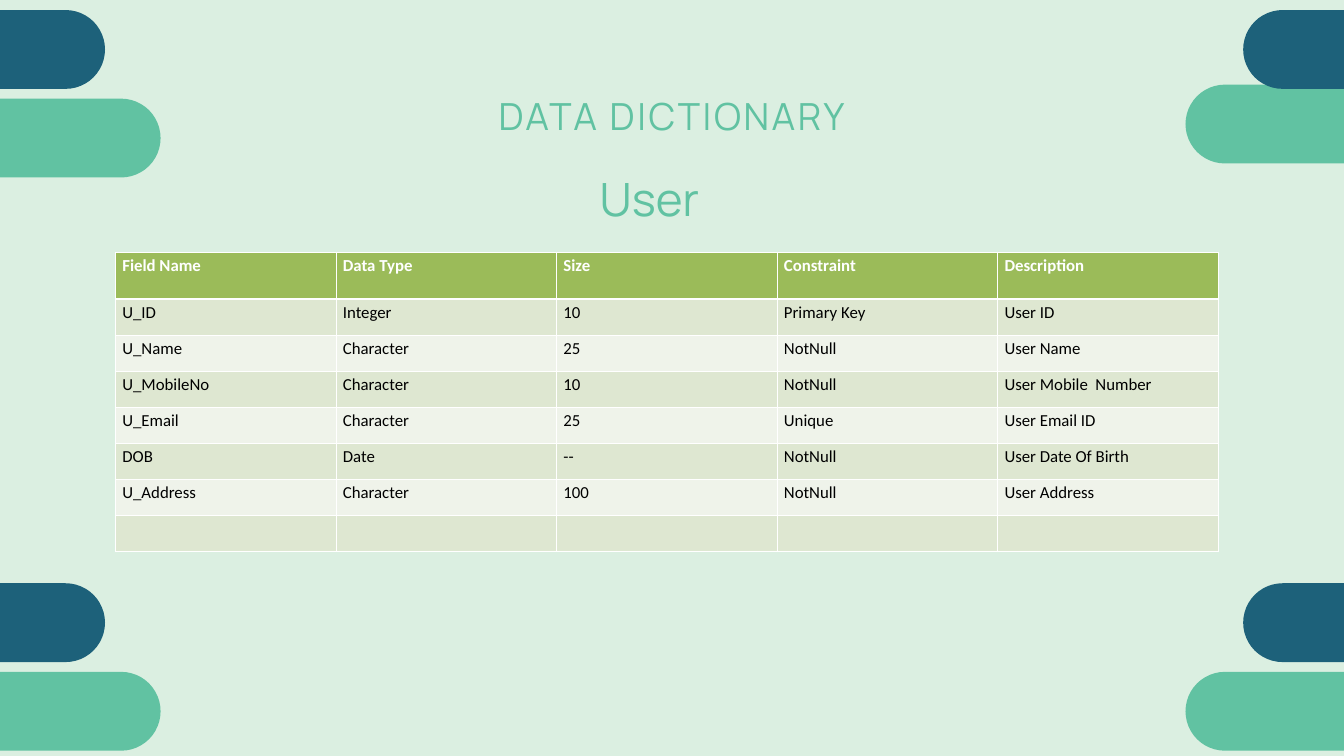
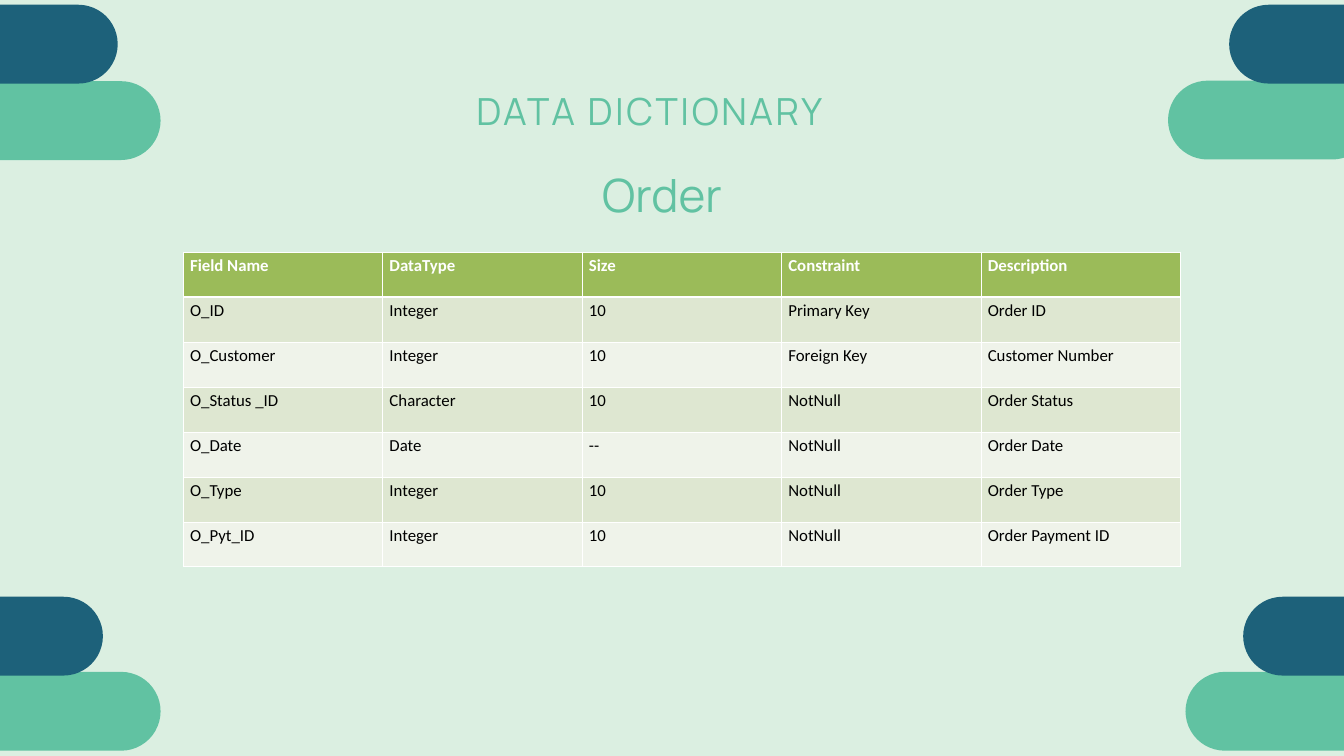
import pptx
import pptx.dml.color
import pptx.enum.shapes
import pptx.enum.text
import pptx.oxml
import pptx.oxml.ns
import pptx.util

Cm = pptx.util.Cm
Pt = pptx.util.Pt
RGBColor = pptx.dml.color.RGBColor

# Shared look
MINT = RGBColor(0xDB, 0xEF, 0xE1)
GREEN = RGBColor(0x61, 0xC2, 0xA2)
NAVY = RGBColor(0x1D, 0x61, 0x7A)
OLIVE = RGBColor(0x9B, 0xBB, 0x59)
DARK_BAND = RGBColor(0xDE, 0xE7, 0xD1)
LIGHT_BAND = RGBColor(0xEF, 0xF3, 0xEA)
WHITE = RGBColor(0xFF, 0xFF, 0xFF)
BLACK = RGBColor(0x00, 0x00, 0x00)
HEADING_FONT = "Manrope"
TABLE_FONT = "Calibri"
TITLE = "DATA DICTIONARY"
TITLE_SIZE = (15.88, 1.7)
PILL_SIZE = (7.7, 2.98)
TABLE_TOP = 9.53

# Content: boxes are left, top, width, height and pills left, top, all in cm
SLIDES = [
    {
        "title_at": (17.45, 3.53),
        "entity": "User",
        "entity_box": (20.37, 6.1, 8.36, 2.46),
        "green_pills": [(-1.63, 3.73), (-1.63, 25.4), (44.81, 3.2), (44.81, 25.4)],
        "navy_pills": [(-3.73, 0.38), (-3.73, 22.05), (46.99, 0.38), (46.99, 22.05)],
        "table_left": 4.37,
        "table_width": 41.68,
        "header_height": 1.78,
        "row_height": 1.36,
        "rows": [
            ("Field Name", "Data Type", "Size", "Constraint", "Description"),
            ("U_ID", "Integer", "10", "Primary Key", "User ID"),
            ("U_Name", "Character", "25", "NotNull", "User Name"),
            ("U_MobileNo", "Character", "10", "NotNull", "User Mobile  Number"),
            ("U_Email", "Character", "25", "Unique", "User Email ID"),
            ("DOB", "Date", "--", "NotNull", "User Date Of Birth"),
            ("U_Address", "Character", "100", "NotNull", "User Address"),
            ("", "", "", "", ""),
        ],
    },
    {
        "title_at": (16.61, 3.33),
        "entity": "Order",
        "entity_box": (21.23, 5.94, 7.59, 2.46),
        "green_pills": [(-1.63, 3.07), (-1.63, 25.4), (44.15, 3.05), (44.81, 25.4)],
        "navy_pills": [(-3.25, 0.18), (-3.81, 22.56), (46.46, 0.18), (46.99, 22.56)],
        "table_left": 6.93,
        "table_width": 37.69,
        "header_height": 1.7,
        "row_height": 1.7,
        "rows": [
            ("Field Name", "DataType", "Size", "Constraint", "Description"),
            ("O_ID", "Integer", "10", "Primary Key", "Order ID"),
            ("O_Customer", "Integer", "10", "Foreign Key", "Customer Number"),
            ("O_Status _ID", "Character", "10", "NotNull", "Order Status"),
            ("O_Date", "Date", "--", "NotNull", "Order Date"),
            ("O_Type", "Integer", "10", "NotNull", "Order Type"),
            ("O_Pyt_ID", "Integer", "10", "NotNull", "Order Payment ID"),
        ],
    },
]


def add_pills(slide, positions, color):
    width, height = PILL_SIZE
    for left, top in positions:
        pill = slide.shapes.add_shape(
            pptx.enum.shapes.MSO_SHAPE.ROUNDED_RECTANGLE,
            Cm(left), Cm(top), Cm(width), Cm(height))
        pill.adjustments[0] = 0.5
        pill.shadow.inherit = False
        pill.fill.solid()
        pill.fill.fore_color.rgb = color
        pill.line.fill.background()


def write_heading(shape, text, size, line_height, letter_spacing=0):
    frame = shape.text_frame
    frame.margin_left = frame.margin_top = frame.margin_right = frame.margin_bottom = 0
    frame.word_wrap = True
    frame.auto_size = pptx.enum.text.MSO_AUTO_SIZE.NONE
    frame.vertical_anchor = pptx.enum.text.MSO_ANCHOR.TOP
    frame.text = text
    paragraph = frame.paragraphs[0]
    paragraph.alignment = pptx.enum.text.PP_ALIGN.CENTER
    paragraph.line_spacing = Pt(line_height)
    run = paragraph.runs[0]
    run.font.name = HEADING_FONT
    run.font.size = Pt(size)
    run.font.color.rgb = GREEN
    if letter_spacing:
        run.font._element.set("spc", str(round(letter_spacing * 100)))


def set_borders(cell, widths):
    """Draw white borders; widths maps each side (L, R, T, B) to points."""
    properties = cell._tc.get_or_add_tcPr()
    for side, width in widths.items():
        properties.append(pptx.oxml.parse_xml(
            f'<a:ln{side} {pptx.oxml.ns.nsdecls("a")} w="{Pt(width)}">'
            f'<a:solidFill><a:srgbClr val="{WHITE}"/></a:solidFill></a:ln{side}>'))


def format_cell(cell, text, row_index):
    is_header = row_index == 0
    set_borders(cell, {"L": 1, "R": 1,
                       "T": 3 if row_index == 1 else 1,
                       "B": 3 if is_header else 1})
    cell.fill.solid()
    if is_header:
        cell.fill.fore_color.rgb = OLIVE
    else:
        cell.fill.fore_color.rgb = DARK_BAND if row_index % 2 else LIGHT_BAND
    cell.text_frame.text = text
    for run in cell.text_frame.paragraphs[0].runs:
        run.font.name = TABLE_FONT
        run.font.size = Pt(18)
        run.font.bold = is_header
        run.font.color.rgb = WHITE if is_header else BLACK


def add_dictionary_table(slide, content):
    rows = content["rows"]
    heights = [content["header_height"]] + [content["row_height"]] * (len(rows) - 1)
    table = slide.shapes.add_table(
        len(rows), len(rows[0]), Cm(content["table_left"]), Cm(TABLE_TOP),
        Cm(content["table_width"]), Cm(sum(heights))).table
    for row_index, (values, height) in enumerate(zip(rows, heights)):
        table.rows[row_index].height = Cm(height)
        for column_index, text in enumerate(values):
            format_cell(table.cell(row_index, column_index), text, row_index)


def build_slide(presentation, content):
    title_only = presentation.slide_layouts.get_by_name("Title Only")
    slide = presentation.slides.add_slide(title_only)

    # Corner pills, navy over green
    add_pills(slide, content["green_pills"], GREEN)
    add_pills(slide, content["navy_pills"], NAVY)

    # Title and entity name
    title = slide.shapes.title
    title.left, title.top = map(Cm, content["title_at"])
    title.width, title.height = map(Cm, TITLE_SIZE)
    write_heading(title, TITLE, 40, 48, letter_spacing=2.8)
    entity = slide.shapes.add_textbox(*map(Cm, content["entity_box"]))
    write_heading(entity, content["entity"], 49.1, 68.7)

    add_dictionary_table(slide, content)


def main():
    presentation = pptx.Presentation()
    presentation.slide_width = Cm(50.8)
    presentation.slide_height = Cm(28.58)
    background = presentation.slide_master.background.fill
    background.solid()
    background.fore_color.rgb = MINT
    for content in SLIDES:
        build_slide(presentation, content)
    presentation.save("out.pptx")


if __name__ == "__main__":
    main()
